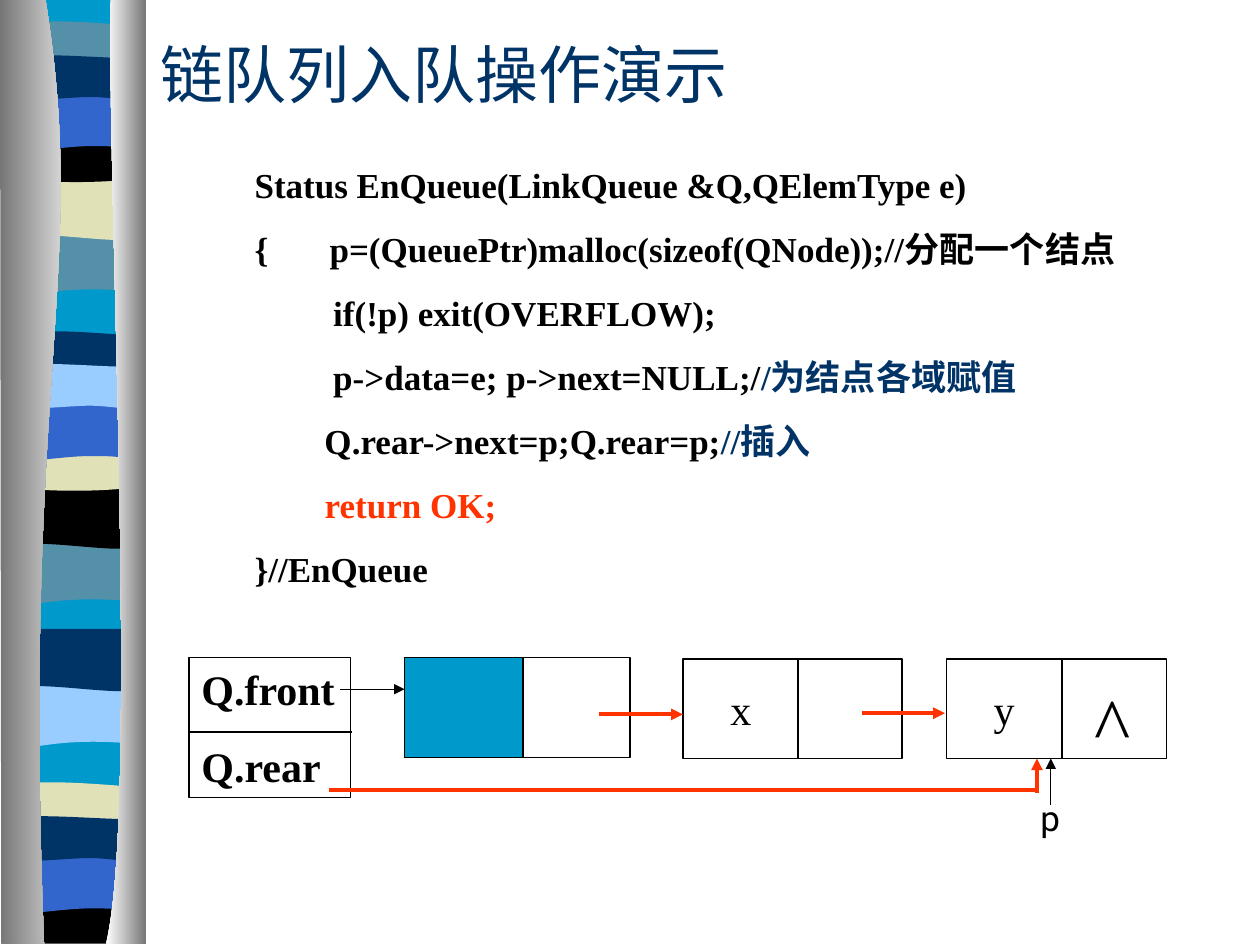
from lxml.etree import SubElement
from pptx import Presentation
from pptx.dml.color import RGBColor
from pptx.enum.shapes import MSO_CONNECTOR as Connector, MSO_SHAPE as Shape
from pptx.enum.text import MSO_ANCHOR as Anchor, MSO_AUTO_SIZE as AutoSize, PP_ALIGN as Align
from pptx.oxml.ns import qn
from pptx.util import Inches, Pt

BLACK, NAVY, RED, CYAN = "000000", "003366", "FF3300", "0099CC"
TEAL, SAND, BLUE, SKY = "5490A8", "E1E1B7", "3366CC", "99CCFF"
SERIF = "Times New Roman"

TITLE = [[("链队列入队操作演示", NAVY)]]
CODE = [
    [("Status EnQueue(LinkQueue &Q,QElemType e)", BLACK)],
    [("{       p=(QueuePtr)malloc(sizeof(QNode));//分配一个结点", BLACK)],
    [("         if(!p) exit(OVERFLOW);", BLACK)],
    [("         p->data=e; p->next=NULL;/", BLACK), ("/为结点各域赋值", NAVY)],
    [("        Q.rear->next=p;Q.rear=p;", BLACK), ("//插入", NAVY)],
    [("        ", BLACK), ("return OK;", RED)],
    [("}//EnQueue", BLACK)],
]
POINTERS = [[("Q.front", BLACK)], [("Q.rear", BLACK)]]
CELLS = [
    (3.21, 5.22, 0.94, CYAN, ""), (4.15, 5.22, 0.85, None, ""),
    (5.42, 5.23, 0.92, None, "x"), (6.33, 5.23, 0.83, None, ""),
    (7.51, 5.23, 0.92, None, "y"), (8.43, 5.23, 0.83, None, ""),
]
LABELS = [("^", (8.59, 5.31, 0.5, 0.84), 44, SERIF), ("p", (8.16, 6.27, 0.83, 0.44), 20, "Roboto")]
LINKS = [
    ((1.5, 5.81), (2.79, 5.81), BLACK, 0.75, False),
    ((2.7, 5.47), (3.21, 5.47), BLACK, 0.75, True),
    ((2.61, 6.27), (8.23, 6.27), RED, 2.25, False),
    ((8.23, 6.29), (8.23, 6.02), RED, 2.25, True),
    ((4.75, 5.67), (5.42, 5.67), RED, 2.25, True),
    ((8.34, 6.39), (8.34, 6.02), BLACK, 0.75, True),
    ((6.84, 5.66), (7.5, 5.66), RED, 2.25, True),
]

MOTIFS = {
    "base": [(1.08, 0), (1.08, 7.48), (0, 7.48), (0, 0)],
    "swell": [(1.08, 0), (1.08, 0.47), (0.33, 0.39, 0.18, 0.55, 0, 0.47), (0, 0)],
    "wave": [(1.08, 0), (1.08, 0.47), (0.9, 0.55, 0.33, 0.41, 0, 0.47), (0, 0)],
    "lens": [(1.08, 0.05), (1.08, 0.29), (0.9, 0.33, 0.18, 0.33, 0, 0.29), (0, 0.05),
             (0.06, 0, 0.23, 0.01, 0.41, 0.01), (0.59, 0.01, 0.94, 0.04, 1.08, 0.05)],
    "bowl": [(1.08, 0), (1.08, 0.32), (0.9, 0.38, 0.18, 0.38, 0, 0.32), (0, 0),
             (0.66, 0.05, 0.85, 0, 1.08, 0)],
    "arch": [(1.08, 0), (1.08, 0.47), (0.91, 0.42, 0.84, 0.42, 0.66, 0.42),
             (0.48, 0.42, 0.16, 0.47, 0, 0.47), (0, 0)],
    "flag": [(1.08, 0.05), (1.08, 0.36), (1.01, 0.41, 0.84, 0.36, 0.66, 0.36),
             (0.48, 0.36, 0.11, 0.41, 0, 0.36), (0, 0.05), (0.15, 0, 0.73, 0.05, 0.91, 0.05),
             (1.09, 0.05, 1.05, 0.05, 1.08, 0.05)],
    "floor": [(1.08, 0), (1.08, 0.37), (0, 0.37), (0, 0), (0.66, 0.05, 0.85, 0, 1.08, 0)],
}
BANDS = [
    ("base", 0.06, -0.01, CYAN),
    ("swell", 0.06, 1.85, TEAL), ("wave", 0.06, 1.41, SAND), ("lens", 0.06, 0.16, TEAL),
    ("bowl", 0.06, 1.08, BLACK), ("arch", 0.06, 0.74, BLUE), ("flag", 0.06, 0.41, NAVY),
    ("swell", 0.05, 4.31, TEAL), ("wave", 0.05, 3.86, BLACK), ("lens", 0.05, 2.62, NAVY),
    ("bowl", 0.05, 3.53, SAND), ("arch", 0.05, 3.2, BLUE), ("flag", 0.05, 2.86, SKY),
    ("swell", 0.06, 5.44, SKY), ("wave", 0.06, 4.99, NAVY), ("lens", 0.05, 6.2, SAND),
    ("floor", 0.05, 7.12, BLACK), ("arch", 0.05, 6.79, BLUE), ("flag", 0.05, 6.45, NAVY),
]
COVERS = [
    ([(0.36, -0.01), (0.71, 2.16, 0.17, 2.96, 0.35, 7.49), (0.01, 7.49), (0, -0.01)],
     ("767676", "FFFFFF")),
    ([(0.88, -0.01), (0.84, 1.25, 1.11, 6.46, 0.84, 7.49), (1.16, 7.49), (1.16, 0)],
     ("FFFFFF", "767676")),
]


def rgb(value):
    return RGBColor.from_string(value)


def add_outline(slide, outline, left=0, top=0):
    points = [(Inches(left + x), Inches(top + y))
              for part in outline for x, y in zip(part[::2], part[1::2])]
    builder = slide.shapes.build_freeform(*points[0])
    builder.add_line_segments(points[1:])
    ribbon = builder.convert_to_shape()
    ribbon.shadow.inherit = False
    ribbon.line.fill.background()
    segments = iter(list(ribbon.element.iter(qn("a:lnTo"))))
    for part in outline[1:]:
        first = next(segments)
        if len(part) == 6:
            first.tag = qn("a:cubicBezTo")
            for extra in (next(segments), next(segments)):
                first.append(extra[0])
                extra.getparent().remove(extra)
    return ribbon


def place(shape, box):
    for side, value in zip(("left", "top", "width", "height"), box):
        setattr(shape, side, Inches(value))


def write(shape, lines, size, font=SERIF, bold=False, gap=0, anchor=Anchor.TOP, align=Align.LEFT, wrap=True):
    frame = shape.text_frame
    for key, value in dict(word_wrap=wrap, auto_size=AutoSize.NONE, vertical_anchor=anchor).items():
        setattr(frame, key, value)
    for index, line in enumerate(lines):
        paragraph = frame.paragraphs[0] if index == 0 else frame.add_paragraph()
        layout = dict(alignment=align, line_spacing=Pt(size * 1.2), space_before=Pt(gap if index else 0))
        for key, value in layout.items():
            setattr(paragraph, key, value)
        for text, color in line:
            run = paragraph.add_run()
            run.text = text
            for key, value in dict(size=Pt(size), name=font, bold=bold).items():
                setattr(run.font, key, value)
            run.font.color.rgb = rgb(color)


def add_cell(slide, box, fill=None):
    cell = slide.shapes.add_shape(Shape.RECTANGLE, *map(Inches, box))
    cell.shadow.inherit = False
    cell.line.color.rgb = rgb(BLACK)
    cell.line.width = Pt(0.75)
    if fill:
        cell.fill.solid()
        cell.fill.fore_color.rgb = rgb(fill)
    else:
        cell.fill.background()
    return cell


def add_link(slide, start, end, color, width, arrow):
    link = slide.shapes.add_connector(Connector.STRAIGHT, *map(Inches, start + end))
    link.line.color.rgb = rgb(color)
    link.line.width = Pt(width)
    properties = link.element.spPr
    if arrow:
        SubElement(properties.find(qn("a:ln")), qn("a:tailEnd"), type="triangle")
    SubElement(properties, qn("a:effectLst"))


def main():
    """Build the linked-queue enqueue slide."""
    deck = Presentation()
    deck.slide_width, deck.slide_height = Inches(10), Inches(7.5)
    slide = deck.slides.add_slide(deck.slide_layouts[1])

    for motif, left, top, color in BANDS:
        band = add_outline(slide, MOTIFS[motif], left, top)
        band.fill.solid()
        band.fill.fore_color.rgb = rgb(color)
    for outline, colors in COVERS:
        cover = add_outline(slide, outline)
        cover.fill.gradient()
        cover.fill.gradient_angle = 0
        for stop, color in zip(cover.fill.gradient_stops, colors):
            stop.color.rgb = rgb(color)

    title, code = slide.placeholders
    place(title, (1.17, 0.17, 5.88, 0.83))
    write(title, TITLE, 36, anchor=Anchor.MIDDLE)
    place(code, (1.92, 1.25, 7.17, 3.48))
    write(code, CODE, 20, bold=True, gap=12.5)
    for paragraph in code.text_frame.paragraphs:
        properties = paragraph._p.get_or_add_pPr()
        for key in ("marL", "indent"):
            properties.set(key, "0")
        SubElement(properties, qn("a:buNone"))

    write(add_cell(slide, (1.5, 5.22, 1.28, 1.11)), POINTERS, 24, bold=True, gap=15)
    for left, top, width, fill, value in CELLS:
        cell = add_cell(slide, (left, top, width, 0.79), fill)
        if value:
            write(cell, [[(value, BLACK)]], 24, anchor=Anchor.MIDDLE, align=Align.CENTER, wrap=False)
    for text, box, size, font in LABELS:
        write(slide.shapes.add_textbox(*map(Inches, box)), [[(text, BLACK)]], size, font)
    for link in LINKS:
        add_link(slide, *link)

    deck.save("out.pptx")


if __name__ == "__main__":
    main()
